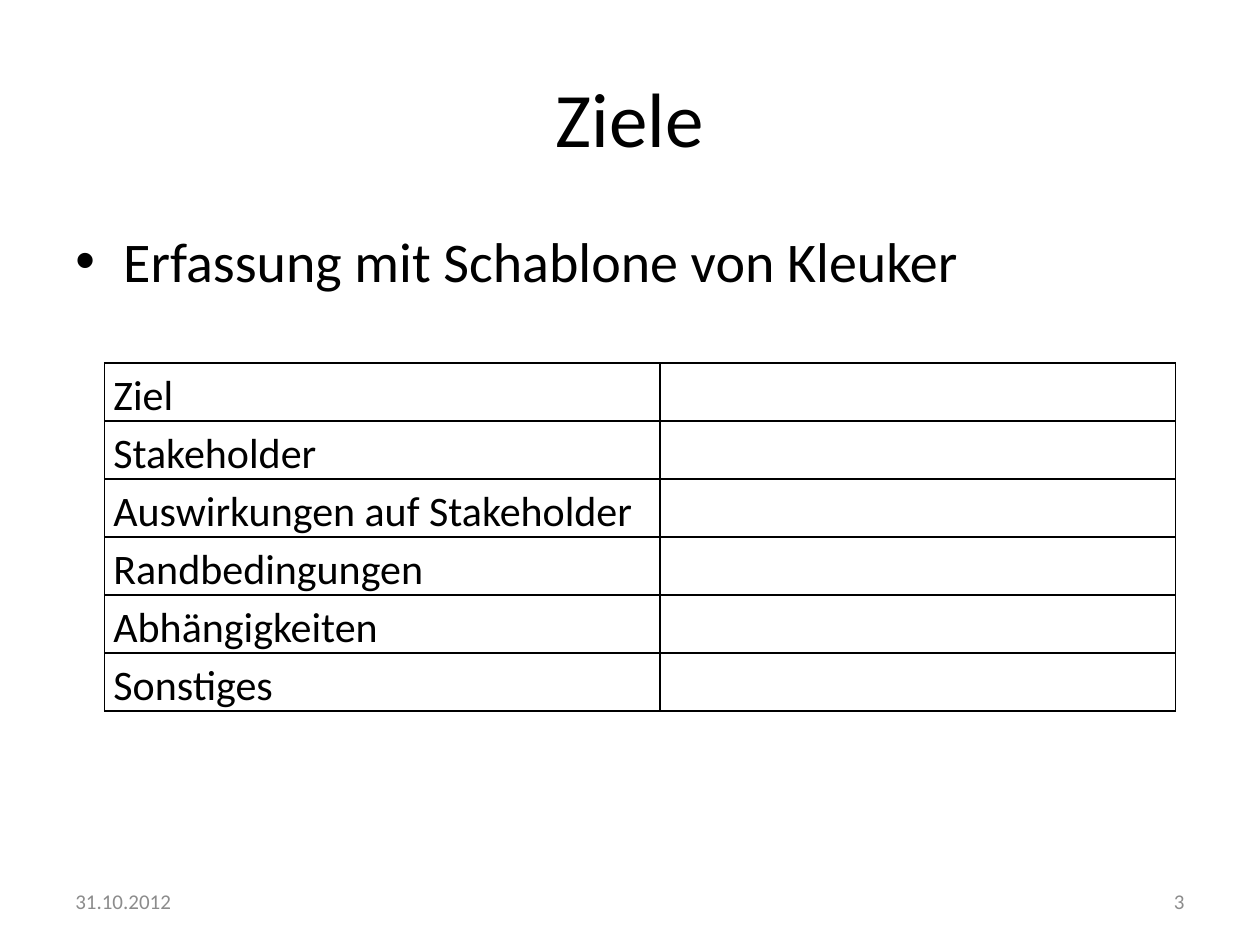
from lxml.etree import SubElement
from pptx import Presentation
from pptx.dml.color import RGBColor
from pptx.enum.text import MSO_ANCHOR, PP_ALIGN
from pptx.oxml.ns import qn
from pptx.util import Inches, Pt

FONT = "Calibri"
BLACK = "000000"
GREY = "8C8C8C"
GOAL_FIELDS = [
    "Ziel",
    "Stakeholder",
    "Auswirkungen auf Stakeholder",
    "Randbedingungen",
    "Abhängigkeiten",
    "Sonstiges",
]


def color(value):
    """Turn a hex string into a colour."""
    return RGBColor.from_string(value)


def add_span(para, text, size, shade=BLACK):
    """Append one formatted run to a paragraph."""
    span = para.add_run()
    span.text = text
    span.font.name = FONT
    span.font.size = Pt(size)
    span.font.color.rgb = color(shade)


def add_text(page, area, text, size, shade=BLACK, align=PP_ALIGN.LEFT, anchor=MSO_ANCHOR.MIDDLE):
    """Add a wrapped text box and return its paragraph."""
    box = page.shapes.add_textbox(*map(Inches, area))
    frame = box.text_frame
    frame.word_wrap = True
    frame.vertical_anchor = anchor
    para = frame.paragraphs[0]
    para.alignment = align
    add_span(para, text, size, shade)
    return para


def add_bullet(para, indent):
    """Give a paragraph a round bullet with a hanging indent."""
    properties = para._p.get_or_add_pPr()
    properties.set("marL", str(Inches(indent)))
    properties.set("indent", str(-Inches(indent)))
    SubElement(properties, qn("a:buFont"), typeface="Arial")
    SubElement(properties, qn("a:buChar"), char="•")


def style_cell(cell):
    """Remove the fill and draw thin black borders around a cell."""
    cell.margin_left = cell.margin_right = Inches(0.07)
    cell.margin_top = cell.margin_bottom = 0
    properties = cell._tc.get_or_add_tcPr()
    for side in ("lnL", "lnR", "lnT", "lnB"):
        line = SubElement(properties, qn(f"a:{side}"), w=str(Pt(1)))
        fill = SubElement(line, qn("a:solidFill"))
        SubElement(fill, qn("a:srgbClr"), val=BLACK)
    cell.fill.background()


def add_goal_table(page):
    """Add the goal template with one labelled row per field."""
    area = map(Inches, (0.83, 2.88, 8.5, 2.76))
    table = page.shapes.add_table(len(GOAL_FIELDS), 2, *area).table
    table.first_row = table.horz_banding = False
    for column, width in zip(table.columns, (4.41, 4.09)):
        column.width = Inches(width)
    for cell in table.iter_cells():
        style_cell(cell)
    for row, label in enumerate(GOAL_FIELDS):
        para = table.cell(row, 0).text_frame.paragraphs[0]
        para.line_spacing = 1.15
        add_span(para, label, 24)


def main():
    """Build and save the goals slide."""
    deck = Presentation()
    deck.slide_width, deck.slide_height = Inches(10), Inches(7.5)
    page = deck.slides.add_slide(deck.slide_layouts[6])
    add_text(page, (0.5, 0.3, 9, 1.25), "Ziele", 44, align=PP_ALIGN.CENTER)
    intro = add_text(page, (0.5, 1.75, 9, 4.95), "Erfassung mit Schablone von Kleuker", 32,
                     anchor=MSO_ANCHOR.TOP)
    add_bullet(intro, 0.38)
    add_text(page, (0.5, 6.95, 2.33, 0.4), "31.10.2012", 12, GREY)
    add_text(page, (7.17, 6.95, 2.33, 0.4), "3", 12, GREY, PP_ALIGN.RIGHT)
    add_goal_table(page)
    deck.save("out.pptx")


if __name__ == "__main__":
    main()
